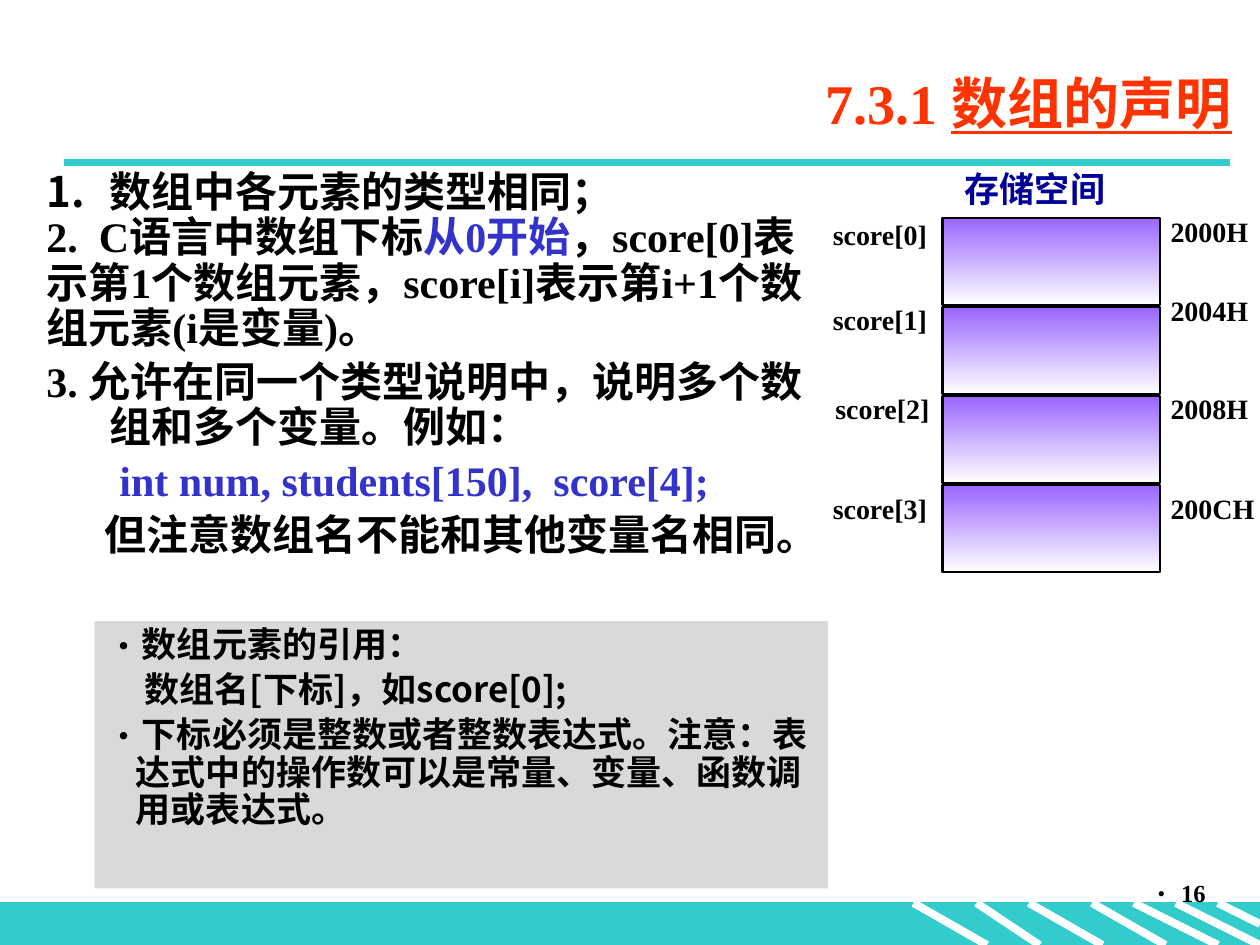
from dataclasses import dataclass
from typing import NamedTuple

from lxml.etree import SubElement
from pptx import Presentation
from pptx.dml.color import RGBColor
from pptx.enum.shapes import MSO_CONNECTOR as Connector, MSO_SHAPE as Preset
from pptx.enum.text import MSO_ANCHOR as Anchor, PP_ALIGN as Align
from pptx.oxml.ns import qn
from pptx.util import Inches, Pt

COLUMNS, ROWS = 120, 90
SERIF, SANS = "Times New Roman", "Noto Sans CJK SC"
BLACK, WHITE, TEAL, BLUE = "000000", "FFFFFF", "33CCCC", "3333CC"
NAVY, RED, GREY, VIOLET = "000099", "FF3300", "D9D9D9", "9966FF"


class Box(NamedTuple):
    """A rectangle in grid columns and rows."""
    left: float
    top: float
    width: float
    height: float


class Span(NamedTuple):
    """A piece of text in one colour."""
    text: str
    color: str = BLACK
    underline: bool = False


@dataclass
class Line:
    """A paragraph with its indents in inches and its spacing in points."""
    spans: list[Span]
    margin: float = 0
    indent: float = 0
    before: float = 0
    spacing: float = 0.9
    bullet: str = ""
    align: Align = Align.LEFT


class Cell(NamedTuple):
    """An array element in memory, with the rows of its two labels."""
    name: str
    name_column: float
    name_row: float
    address: str
    address_row: float


STRIPES = [(93, 99, 90), (87, 94, 90), (98, 105, 90), (112, 120, 90),
           (108, 116, 90), (116, 120, 88), (104, 111, 90)]
CELLS = [Cell("score[0]", 79.32, 21.12, "2000H", 20.76),
         Cell("score[1]", 79.32, 29.16, "2004H", 28.32),
         Cell("score[2]", 79.56, 37.68, "2008H", 37.68),
         Cell("score[3]", 79.32, 47.16, "200CH", 47.16)]
CELL_TOP, CELL_PITCH = 20.76, 8.48

RULES = [
    Line([Span("数组中各元素的类型相同；")], 0.5, -0.5, bullet="1."),
    Line([Span("2.  C语言中数组下标"), Span("从0开始", BLUE),
          Span("，score[0]表示第1个数组元素，score[i]表示第i+1个数组元素(i是变量)。")]),
    Line([Span("3. 允许在同一个类型说明中，说明多个数组和多个变量。例如：")], 0.5, -0.5, 4.8),
    Line([Span("int num, students[150],  score[4];", BLUE)], 0.5, 0.08, 4.8),
    Line([Span("但注意数组名不能和其他变量名相同。")], 0.5, -0.04, 4.8),
]
REFERENCES = [
    Line([Span("数组元素的引用：")], 0.23, -0.23, 4, bullet="•"),
    Line([Span("数组名[下标]，如score[0];")], 0.23, 0.07, 4),
    Line([Span("下标必须是整数或者整数表达式。注意：表达式中的操作数可以是常量、变量、函数调用或表达式。")],
         0.23, -0.23, 4, bullet="•"),
]


def rgb(color: str) -> RGBColor:
    """Turn a hex string into a colour."""
    return RGBColor.from_string(color)


def add_bullet(properties, bullet: str) -> None:
    """Give a paragraph a number or a bullet character."""
    SubElement(properties, qn("a:buFont"), typeface=SANS)
    if bullet == "1.":
        SubElement(properties, qn("a:buAutoNum"), type="arabicPeriod")
    else:
        SubElement(properties, qn("a:buChar"), char=bullet)


def write(frame, lines: list[Line], size: float, font: str = SERIF) -> None:
    """Fill a text frame with bold paragraphs."""
    for number, line in enumerate(lines):
        paragraph = frame.add_paragraph() if number else frame.paragraphs[0]
        paragraph.alignment = line.align
        paragraph.line_spacing = line.spacing
        paragraph.space_before = Pt(line.before)
        properties = paragraph._p.get_or_add_pPr()
        properties.set("marL", str(Inches(line.margin)))
        properties.set("indent", str(Inches(line.indent)))
        if line.bullet:
            add_bullet(properties, line.bullet)
        for span in line.spans:
            run = paragraph.add_run()
            run.text = span.text
            run.font.name = font
            run.font.size = Pt(size)
            run.font.bold = True
            run.font.color.rgb = rgb(span.color)
            if span.underline:
                run.font.underline = True
            SubElement(run._r.get_or_add_rPr(), qn("a:ea"), typeface=SANS)


class Canvas:
    """Draws grid-placed objects on one slide."""

    def __init__(self, presentation):
        """Add a blank slide and measure the grid."""
        self.shapes = presentation.slides.add_slide(presentation.slide_layouts[6]).shapes
        self.column = presentation.slide_width / COLUMNS
        self.row = presentation.slide_height / ROWS

    def place(self, x: float, y: float) -> tuple[int, int]:
        """Turn columns and rows into lengths."""
        return round(x * self.column), round(y * self.row)

    def text(self, box: Box, lines: list[Line], size: float,
             wrap: bool = True, inset: bool = True) -> None:
        """Add a text box."""
        frame = self.shapes.add_textbox(*self.place(*box[:2]), *self.place(*box[2:])).text_frame
        frame.word_wrap = wrap
        if not inset:
            frame.margin_left = frame.margin_right = frame.margin_top = frame.margin_bottom = 0
        frame.vertical_anchor = Anchor.TOP
        write(frame, lines, size)

    def rectangle(self, box: Box, fill: str, fade: str = "", line: str = "", weight: float = 1.25):
        """Add a rectangle, plain or fading downwards."""
        shape = self.shapes.add_shape(Preset.RECTANGLE, *self.place(*box[:2]), *self.place(*box[2:]))
        shape.shadow.inherit = False
        if fade:
            shape.fill.gradient()
            shape.fill.gradient_angle = 270
            for stop, color, position in zip(shape.fill.gradient_stops, (fill, fade), (0, 1)):
                stop.color.rgb = rgb(color)
                stop.position = position
        else:
            shape.fill.solid()
            shape.fill.fore_color.rgb = rgb(fill)
        if line:
            shape.line.color.rgb = rgb(line)
            shape.line.width = Pt(weight)
        else:
            shape.line.fill.background()
        return shape

    def stroke(self, start: tuple[float, float], end: tuple[float, float], color: str) -> None:
        """Add a thick straight line."""
        connector = self.shapes.add_connector(
            Connector.STRAIGHT, *self.place(*start), *self.place(*end))
        connector.line.color.rgb = rgb(color)
        connector.line.width = Pt(4.5)
        SubElement(connector._element.spPr, qn("a:effectLst"))


def draw_frame(canvas: Canvas) -> None:
    """Draw the footer band, title, rule and page number."""
    canvas.rectangle(Box(0, 86, COLUMNS, 4), TEAL, line=TEAL, weight=0.75)
    for start, end, bottom in STRIPES:
        canvas.stroke((start, 86), (end, bottom), WHITE)
    canvas.stroke((6.12, 15.48), (117.12, 15.48), TEAL)
    canvas.text(Box(91, 83.04, 25, 6),
                [Line([Span("16")], 0.25, -0.25, 7, 1, "•", Align.RIGHT)], 14)
    title = [Span("7.3.1 ", RED), Span("数组的声明", RED, True)]
    canvas.text(Box(16.5, 5.9, 102, 8.2), [Line(title, spacing=1, align=Align.RIGHT)], 32)


def draw_memory(canvas: Canvas) -> None:
    """Draw the stack of array elements with names and addresses."""
    canvas.text(Box(90.72, 15.84, 28.32, 5.16), [Line([Span("存储空间", NAVY)])], 20)
    for number, cell in enumerate(CELLS):
        top = CELL_TOP + number * CELL_PITCH
        canvas.rectangle(Box(89.76, top, 20.76, 8.28), VIOLET, WHITE, BLACK)
        for text, left, row, width in ((cell.name, cell.name_column, cell.name_row, 9.12),
                                       (cell.address, 111.48, cell.address_row, 8)):
            canvas.text(Box(left, row, width, 3.24), [Line([Span(text)])], 16, False, False)


def main() -> None:
    """Build and save the slide."""
    presentation = Presentation()
    presentation.slide_width, presentation.slide_height = Inches(10), Inches(7.5)
    canvas = Canvas(presentation)
    draw_frame(canvas)
    canvas.text(Box(3.24, 15.72, 75.6, 39), RULES, 24)
    draw_memory(canvas)
    panel = canvas.rectangle(Box(9, 59.16, 69.84, 25.44), GREY).text_frame
    panel.word_wrap = True
    panel.vertical_anchor = Anchor.TOP
    write(panel, REFERENCES, 20, SANS)
    presentation.save("out.pptx")


if __name__ == "__main__":
    main()
